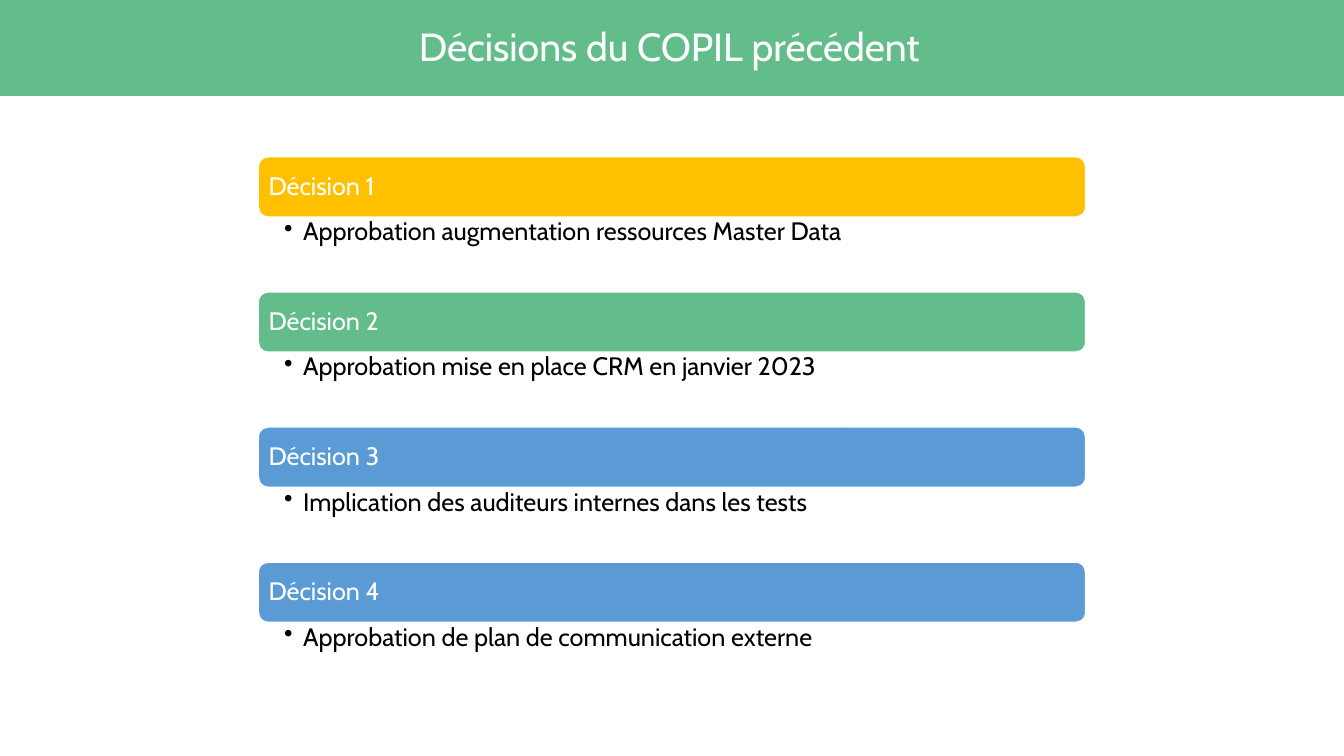
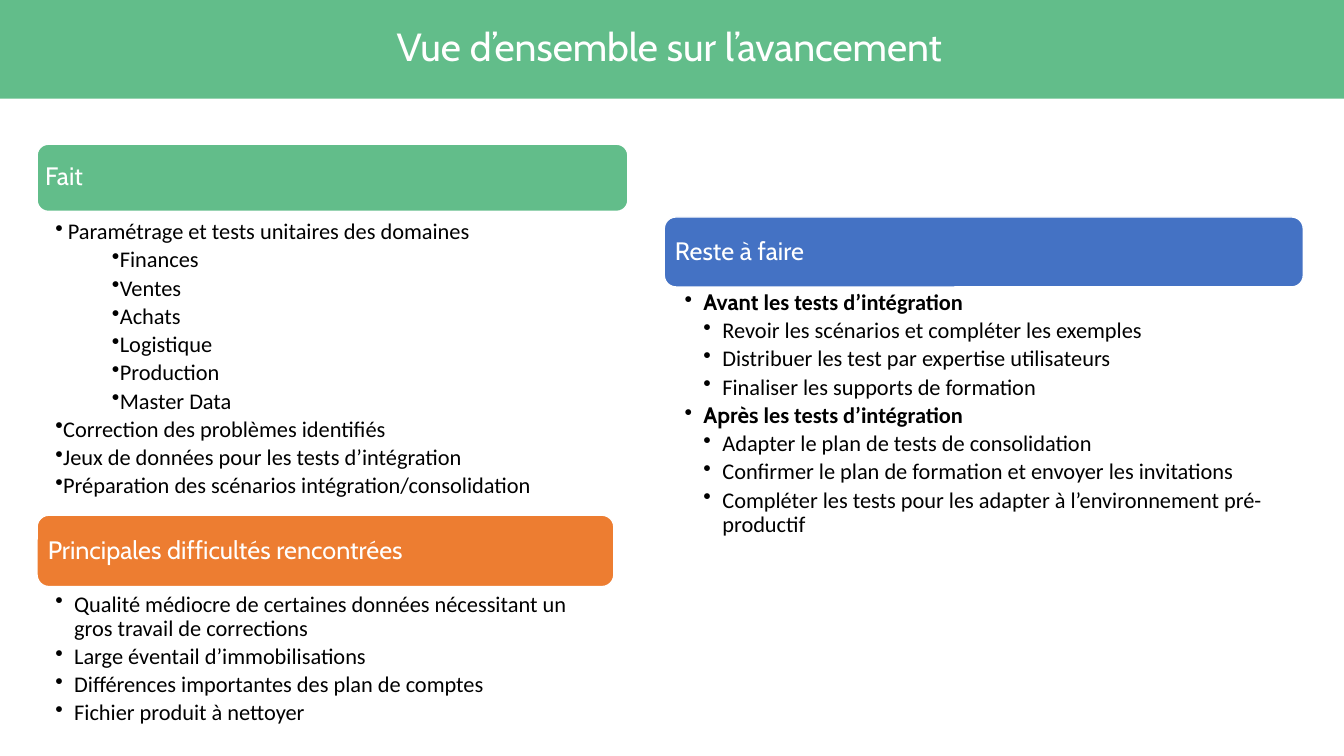
from pptx import Presentation
from pptx.dml.color import RGBColor
from pptx.enum.shapes import MSO_SHAPE as Preset
from pptx.enum.text import MSO_ANCHOR as Anchor, PP_ALIGN as Align
from pptx.util import Pt
from lxml.etree import SubElement
from pptx.oxml.ns import qn

# Shared colours and fonts
GREEN = RGBColor(0x62, 0xBD, 0x8A)
YELLOW = RGBColor(0xFF, 0xC0, 0x00)
LIGHT_BLUE = RGBColor(0x5B, 0x9B, 0xD5)
BLUE = RGBColor(0x44, 0x72, 0xC4)
ORANGE = RGBColor(0xED, 0x7D, 0x31)
WHITE = RGBColor(0xFF, 0xFF, 0xFF)
BLACK = RGBColor(0x00, 0x00, 0x00)
HEAD_FONT = "Cabin"
BODY_FONT = "Calibri"
PAGE_WIDTH, PAGE_HEIGHT = 960, 540

# (left margin, hanging indent) of each list level
NORMAL_LEVELS = [(13.5, 13.5), (27, 13.5)]
TIGHT_LEVELS = [(9, 9), (45, 4.5), (4.5, 4.5)]


class Deck:
    """Holds the style and the current page; all lengths are in points."""

    def __init__(self):
        self.file = Presentation()
        self.file.slide_width = Pt(PAGE_WIDTH)
        self.file.slide_height = Pt(PAGE_HEIGHT)
        self.page = None

    def add_page(self, title, band_height):
        self.page = self.file.slides.add_slide(self.file.slide_layouts[6])
        self.shape(Preset.RECTANGLE, (0, 0, PAGE_WIDTH, band_height), GREEN)
        box = self.page.shapes.add_textbox(Pt(34.5), Pt(15.5), Pt(887), Pt(39))
        self.frame(box, (7.2, 3.6), Anchor.MIDDLE)
        para = self.para(box.text_frame.paragraphs[0], Align.CENTER)
        self.span(para, title, 28, WHITE)

    def shape(self, preset, area, fill):
        box = self.page.shapes.add_shape(preset, *map(Pt, area))
        box.shadow.inherit = False
        box.fill.solid()
        box.fill.fore_color.rgb = fill
        box.line.fill.background()
        return box

    def frame(self, box, insets, anchor):
        frame = box.text_frame
        frame.word_wrap = True
        frame.vertical_anchor = anchor
        frame.margin_left = frame.margin_right = Pt(insets[0])
        frame.margin_top = frame.margin_bottom = Pt(insets[1])

    def para(self, para, align=Align.LEFT, after=0):
        para.alignment = align
        para.line_spacing = 0.9
        para.space_after = Pt(after)
        return para

    def span(self, para, text, size, color, font=HEAD_FONT, bold=False):
        span = para.add_run()
        span.text = text
        span.font.size = Pt(size)
        span.font.name = font
        span.font.bold = bold
        span.font.color.rgb = color

    def label(self, text, area, fill, inset=5.2):
        box = self.shape(Preset.ROUNDED_RECTANGLE, area, fill)
        box.line.color.rgb = WHITE
        box.line.width = Pt(1)
        self.frame(box, (inset, 3), Anchor.MIDDLE)
        para = self.para(box.text_frame.paragraphs[0])
        self.span(para, text, 18, WHITE)

    def bullets(self, items, area, inset, levels=NORMAL_LEVELS,
                size=16, font=BODY_FONT):
        """Each item is (level, text) or (level, text, bold lead-in)."""
        box = self.page.shapes.add_textbox(*map(Pt, area))
        self.frame(box, (inset, 1.5), Anchor.TOP)
        box.text_frame.margin_right = Pt(8.5)
        for index, (level, text, *lead) in enumerate(items):
            frame = box.text_frame
            para = frame.add_paragraph() if index else frame.paragraphs[0]
            self.para(para, after=2.9)
            margin, hang = levels[level]
            props = para._p.get_or_add_pPr()
            props.set("marL", str(Pt(margin)))
            props.set("indent", str(-Pt(hang)))
            SubElement(props, qn("a:buChar")).set("char", "•")
            for word in lead:
                self.span(para, word, size, BLACK, HEAD_FONT, True)
            self.span(para, text, size, BLACK, font, bool(lead))


def decisions(deck):
    deck.add_page("Décisions du COPIL précédent", 68.5)
    rows = [
        (YELLOW, "Approbation augmentation ressources Master Data"),
        (GREEN, "Approbation mise en place CRM en janvier 2023"),
        (LIGHT_BLUE, "Implication des auditeurs internes dans les tests"),
        (LIGHT_BLUE, "Approbation de plan de communication externe"),
    ]
    left, width, label_height, step = 184.5, 591, 43, 96.5
    for index, (fill, text) in enumerate(rows):
        top = 112 + index * step
        deck.label(f"Décision {index + 1}", (left, top, width, label_height), fill)
        deck.bullets([(0, text)], (left, top + label_height, width, 53), 18.5,
                     size=18, font=HEAD_FONT)


def progress(deck):
    deck.add_page("Vue d’ensemble sur l’avancement", 70.5)

    # Difficulties
    deck.label("Principales difficultés rencontrées", (26.5, 368, 412, 51), ORANGE)
    deck.bullets([
        (0, "Qualité médiocre de certaines données nécessitant un "
            "gros travail de corrections"),
        (0, "Large éventail d’immobilisations"),
        (0, "Différences importantes des plan de comptes"),
        (0, "Fichier produit à nettoyer"),
    ], (26.5, 422, 412, 103), 13)

    # Remaining work
    deck.label("Reste à faire", (474.5, 155, 456.5, 50), BLUE)
    deck.bullets([
        (0, "les tests d’intégration", "Avant "),
        (1, "Revoir les scénarios et compléter les exemples"),
        (1, "Distribuer les test par expertise utilisateurs"),
        (1, "Finaliser les supports de formation"),
        (0, "les tests d’intégration", "Après "),
        (1, "Adapter le plan de tests de consolidation"),
        (1, "Confirmer le plan de formation et envoyer les invitations"),
        (1, "Compléter les tests pour les adapter à l’environnement pré-productif"),
    ], (474.5, 206.5, 456.5, 191), 14.5)

    # Work done
    deck.label("Fait", (26.5, 103, 422, 48), GREEN, inset=3.5)
    domains = ["Finances", "Ventes", "Achats", "Logistique", "Production",
               "Master Data"]
    deck.bullets([
        (0, "Paramétrage et tests unitaires des domaines"),
        *[(1, domain) for domain in domains],
        (2, "Correction des problèmes identifiés"),
        (2, "Jeux de données pour les tests d’intégration"),
        (2, "Préparation des scénarios intégration/consolidation"),
    ], (26, 156, 422, 210), 13.5, TIGHT_LEVELS)


def main():
    deck = Deck()
    decisions(deck)
    progress(deck)
    deck.file.save("out.pptx")


if __name__ == "__main__":
    main()
